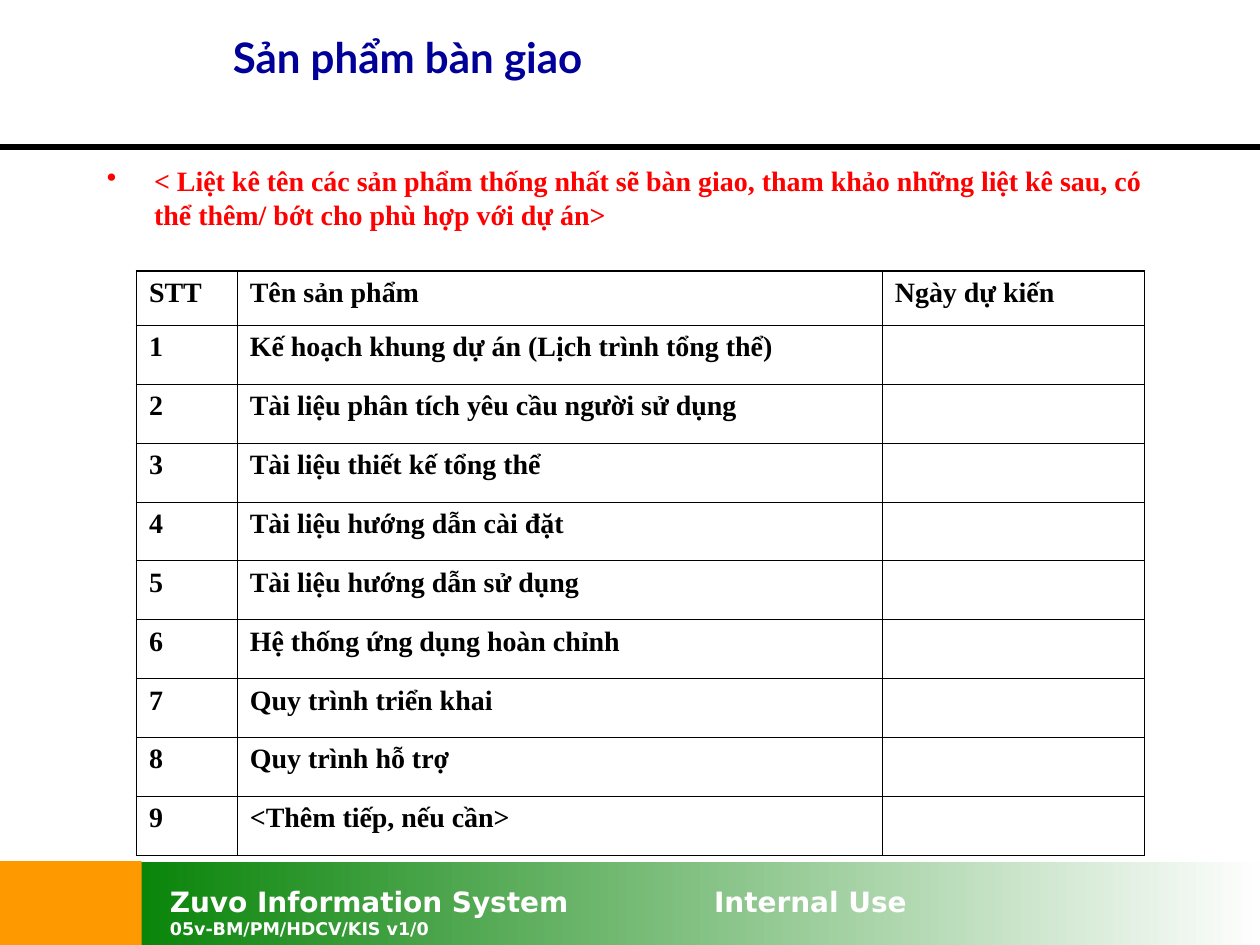
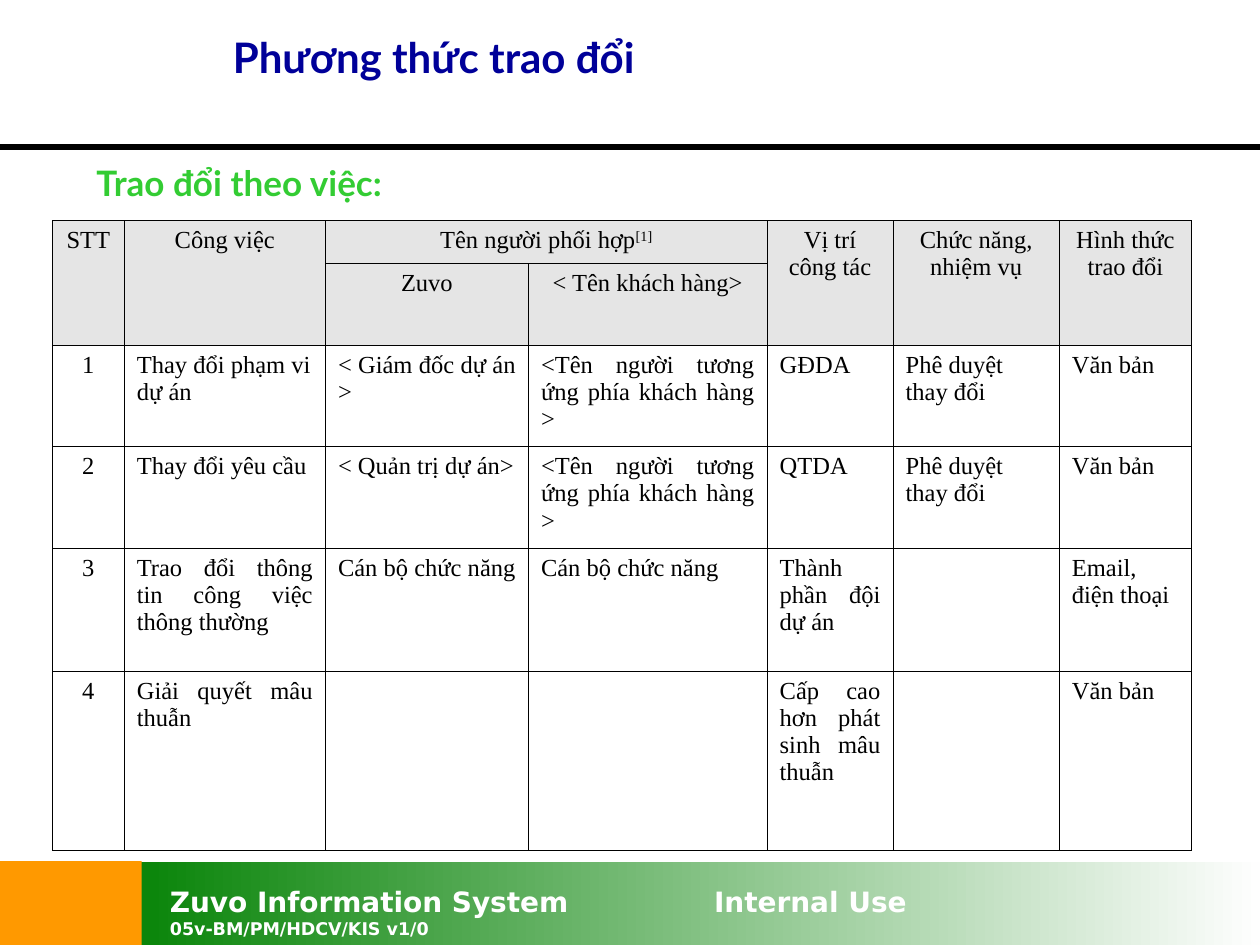
from lxml.etree import SubElement
from pptx import Presentation
from pptx.dml.color import RGBColor
from pptx.enum.shapes import MSO_CONNECTOR as Connector, MSO_SHAPE as Shape
from pptx.enum.text import MSO_ANCHOR as Anchor, PP_ALIGN as Align
from pptx.oxml import parse_xml
from pptx.oxml.ns import nsdecls, qn
from pptx.util import Pt

COLORS = {
    "black": "000000", "white": "FFFFFF", "title": "000099", "note": "FF0000",
    "subtitle": "33CC33", "header": "E5E5E5", "corner": "FF9900",
    "band_start": "FEFEFE", "band_end": "008000",
}
SERIF, SANS, FOOTER_FONT = "Times New Roman", "Lato", "DejaVu Sans"
ALIGNS = {"l": Align.LEFT, "c": Align.CENTER, "j": Align.JUSTIFY}


def rgb(name):
    return RGBColor.from_string(COLORS[name])


def write(frame, text, size=16, font=SERIF, color="black", bold=False, align="l",
          before=0, bullet=None, tab=None):
    para = frame.add_paragraph() if frame.text else frame.paragraphs[0]
    para.alignment = ALIGNS[align]
    para.space_before = Pt(before)
    props = para._p.get_or_add_pPr()
    if bullet:
        props.set("marL", str(Pt(27)))
        props.set("indent", str(Pt(-27)))
        tint = SubElement(props, qn("a:buClr"))
        SubElement(tint, qn("a:srgbClr"), val=COLORS[color])
        SubElement(props, qn("a:buChar"), char=bullet)
    if tab:
        stops = SubElement(props, qn("a:tabLst"))
        SubElement(stops, qn("a:tab"), pos=str(Pt(tab)), algn="l")
    base, _, raised = text.partition("^")
    for piece, baseline in ((base, None), (raised, "30000")):
        if not piece:
            continue
        span = para.add_run()
        span.text = piece
        span.font.size = Pt(size)
        span.font.name = font
        span.font.bold = bold
        span.font.color.rgb = rgb(color)
        if baseline:
            span._r.get_or_add_rPr().set("baseline", baseline)


class SlideBuilder:
    def __init__(self):
        self.deck = Presentation()
        self.deck.slide_width, self.deck.slide_height = Pt(720), Pt(540)
        self.page = None

    def start_page(self, title):
        self.page = self.deck.slides.add_slide(self.deck.slide_layouts[6])
        band = self.rect(54, 492.5, 666, 47.5)
        band.fill.gradient()
        band.fill.gradient_angle = 180
        for stop, name in zip(band.fill.gradient_stops, ("band_start", "band_end")):
            stop.color.rgb = rgb(name)
        footer = self.text_box(90, 502, 630, 38)
        style = {"font": FOOTER_FONT, "color": "white", "bold": True}
        write(footer, "Zuvo Information System\tInternal Use", tab=311, **style)
        write(footer, "05v-BM/PM/HDCV/KIS v1/0", size=10, **style)
        corner = self.rect(0, 492, 81, 48)
        corner.fill.solid()
        corner.fill.fore_color.rgb = rgb("corner")
        self.rule(84, 3)
        self.heading(title, 126, 5, 582, 24, "title")

    def rect(self, left, top, width, height):
        shape = self.page.shapes.add_shape(
            Shape.RECTANGLE, Pt(left), Pt(top), Pt(width), Pt(height))
        shape.shadow.inherit = False
        shape.line.fill.background()
        return shape

    def text_box(self, left, top, width, height, anchor=Anchor.TOP):
        box = self.page.shapes.add_textbox(Pt(left), Pt(top), Pt(width), Pt(height))
        frame = box.text_frame
        frame.word_wrap = True
        frame.vertical_anchor = anchor
        return frame

    def heading(self, text, left, top, width, size, color):
        frame = self.text_box(left, top, width, 55, Anchor.MIDDLE)
        write(frame, text, size=size, font=SANS, color=color, bold=True)

    def rule(self, top, weight):
        line = self.page.shapes.add_connector(
            Connector.STRAIGHT, Pt(0), Pt(top), Pt(720), Pt(top))
        line.line.color.rgb = rgb("black")
        line.line.width = Pt(weight)
        SubElement(line._element.spPr, qn("a:effectLst"))

    def table(self, left, top, widths, heights, rows, aligns, merges=(),
              header_rows=0, outer=0.45, **style):
        table = self.page.shapes.add_table(
            len(heights), len(widths), Pt(left), Pt(top),
            Pt(sum(widths)), Pt(sum(heights))).table
        table.first_row = table.horz_banding = False
        for column, width in zip(table.columns, widths):
            column.width = Pt(width)
        for row, height in zip(table.rows, heights):
            row.height = Pt(height)
        last_row, last_col = len(heights) - 1, len(widths) - 1
        for r, (texts, row_aligns) in enumerate(zip(rows, aligns)):
            for c, (text, align) in enumerate(zip(texts, row_aligns)):
                cell = table.cell(r, c)
                if r < header_rows:
                    cell.fill.solid()
                    cell.fill.fore_color.rgb = rgb("header")
                else:
                    cell.fill.background()
                edges = {"L": c == 0, "R": c == last_col, "T": r == 0, "B": r == last_row}
                self.borders(cell, {side: outer if edge else 0.45
                                    for side, edge in edges.items()})
                if text:
                    write(cell.text_frame, text, align=align, **style)
        for first, last in merges:
            table.cell(*first).merge(table.cell(*last))

    def borders(self, cell, weights):
        props = cell._tc.get_or_add_tcPr()
        for index, (side, weight) in enumerate(weights.items()):
            props.insert(index, parse_xml(
                f'<a:ln{side} {nsdecls("a")} w="{Pt(weight)}"><a:solidFill>'
                f'<a:srgbClr val="{COLORS["black"]}"/></a:solidFill></a:ln{side}>'))


def build_deliverables(builder):
    builder.start_page("Sản phẩm bàn giao")
    note = builder.text_box(54, 90, 612, 102)
    write(note, "< Liệt kê tên các sản phẩm thống nhất sẽ bàn giao, tham khảo những "
          "liệt kê sau, có thể thêm/ bớt cho phù hợp với dự án>",
          color="note", bold=True, before=4, bullet="•")
    products = [
        "Kế hoạch khung dự án (Lịch trình tổng thể)",
        "Tài liệu phân tích yêu cầu người sử dụng",
        "Tài liệu thiết kế tổng thể",
        "Tài liệu hướng dẫn cài đặt",
        "Tài liệu hướng dẫn sử dụng",
        "Hệ thống ứng dụng hoàn chỉnh",
        "Quy trình triển khai",
        "Quy trình hỗ trợ",
        "<Thêm tiếp, nếu cần>",
    ]
    rows = [("STT", "Tên sản phẩm", "Ngày dự kiến")]
    rows += [(str(number), name, "") for number, name in enumerate(products, 1)]
    builder.table(78, 154.8, [57.6, 368.6, 149.8], [31] + [33.7] * len(products),
                  rows, ["lll"] * len(rows), outer=1.08, bold=True, before=4)


def build_communication(builder):
    builder.start_page("Phương thức trao đổi")
    builder.heading("Trao đổi theo việc:", 48, 77, 438, 20, "subtitle")
    contact = "<Tên người tương ứng phía khách hàng >"
    approval, document, staff = "Phê duyệt thay đổi", "Văn bản", "Cán bộ chức năng"
    rows = [
        ("STT", "Công việc", "Tên người phối hợp^[1]", "", "Vị trí công tác",
         "Chức năng, nhiệm vụ", "Hình thức trao đổi"),
        ("", "", "Zuvo", "< Tên khách hàng>", "", "", ""),
        ("1", "Thay đổi phạm vi dự án", "< Giám đốc dự án >", contact,
         "GĐDA", approval, document),
        ("2", "Thay đổi yêu cầu", "< Quản trị dự án>", contact,
         "QTDA", approval, document),
        ("3", "Trao đổi thông tin công việc thông thường", staff, staff,
         "Thành phần đội dự án", "", "Email, điện thoại"),
        ("4", "Giải quyết mâu thuẫn", "", "",
         "Cấp cao hơn phát sinh mâu thuẫn", "", document),
    ]
    aligns = ["c" * 7] * 2 + ["cljjllj"] * 2 + ["cjjjjjj"] * 2
    merges = [((0, col), (1, col)) for col in (0, 1, 4, 5, 6)] + [((0, 2), (0, 3))]
    builder.table(30, 126, [41, 115, 116, 136.4, 72, 95, 75.6],
                  [24.5, 47, 57.8, 57.8, 70.4, 102.5],
                  rows, aligns, merges, header_rows=2, size=14)


def main():
    builder = SlideBuilder()
    build_deliverables(builder)
    build_communication(builder)
    builder.deck.save("out.pptx")


if __name__ == "__main__":
    main()
